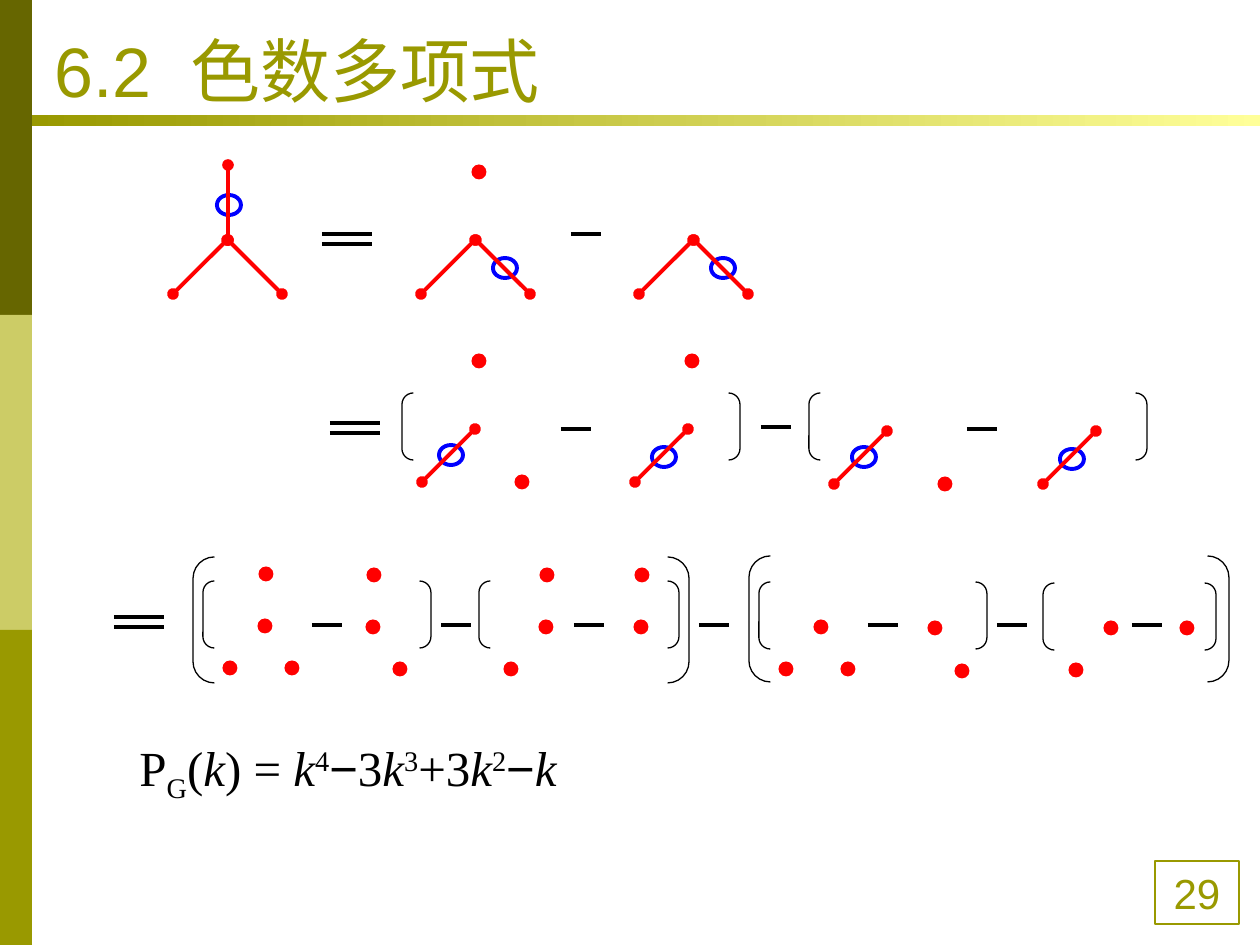
from lxml import etree
from pptx import Presentation
from pptx import util as u
from pptx.dml.color import RGBColor
from pptx.enum import shapes, text
from pptx.oxml.ns import qn

EMU_PER_PX = 914400 / 126
OLIVE, RED, BLUE, BLACK, WHITE = "999900", "FF0000", "0000FF", "000000", "FFFFFF"
SANS, SERIF = "Arial", "Times New Roman"

# Graph elements: centres of circled edges, fork tops and slanted edge tops
CIRCLED = [(505, 268), (723, 268), (451, 455), (664, 457), (864, 457),
           (1072, 459), (229, 205)]
FORK_TOPS = [227, 693, 475]
SLANT_TOPS = [(475, 429), (688, 429), (887, 431), (1096, 431)]
VERTICES = [
    (479, 172),
    (479, 361), (522, 482), (692, 361), (945, 484),
    (266, 574), (292, 668), (230, 668), (265, 626),
    (374, 575), (400, 669), (373, 627),
    (547, 575), (511, 669), (546, 627), (642, 575), (641, 627),
    (848, 669), (786, 669), (821, 627), (962, 671), (935, 628),
    (1076, 670), (1111, 628), (1187, 628),
]

# Operators: left ends of the signs, and boxes of the bracket pairs
MINUSES = [(571, 234), (561, 429), (967, 429), (761, 427)] + [
    (x, 625) for x in (312, 441, 574, 699, 868, 997, 1132)]
EQUALS = [(322, 234), (330, 423), (114, 617)]
BRACKETS = [
    (402, 393, 338, 67), (809, 393, 338, 67),
    (203, 581, 228, 67), (479, 581, 200, 67),
    (759, 582, 228, 67), (1043, 583, 173, 67),
    (193, 557, 496, 126), (749, 556, 480, 126),
]

# Formula runs: text, style, baseline shift in percent
FORMULA = [
    ("P", "", 0), ("G", "", -25), ("(", "", 0), ("k", "i", 0), (") = ", "", 0),
    ("k", "i", 0), ("4", "", 30), ("−", "sans", 0), ("3", "", 0),
    ("k", "i", 0), ("3", "", 30), ("+3", "", 0), ("k", "i", 0),
    ("2", "", 30), ("−", "sans", 0), ("k", "i", 0),
]


def px(value):
    return u.Emu(round(value * EMU_PER_PX))


def color(hex_string):
    return RGBColor.from_string(hex_string)


def add_shape(slide, kind, box, fill=None, line=None, line_width=0.75):
    shape = slide.shapes.add_shape(kind, *map(px, box))
    shape.shadow.inherit = False
    if fill:
        shape.fill.solid()
        shape.fill.fore_color.rgb = color(fill)
    else:
        shape.fill.background()
    if line:
        shape.line.color.rgb = color(line)
        shape.line.width = u.Pt(line_width)
    else:
        shape.line.fill.background()
    return shape


def add_ellipse(slide, center, width, height, **style):
    x, y = center
    box = (x - width / 2, y - height / 2, width, height)
    add_shape(slide, shapes.MSO_SHAPE.OVAL, box, **style)


def add_line(slide, start, end, line_color=BLACK):
    line = slide.shapes.add_connector(
        shapes.MSO_CONNECTOR.STRAIGHT, *map(px, (*start, *end)))
    line.line.color.rgb = color(line_color)
    line.line.width = u.Pt(2.25)
    etree.SubElement(line._element.spPr, qn("a:effectLst"))
    return line


def add_edge(slide, start, end):
    """Red graph edge with a round vertex at each end."""
    outline = add_line(slide, start, end, RED).line._get_or_add_ln()
    for tag in ("a:headEnd", "a:tailEnd"):
        etree.SubElement(outline, qn(tag), type="oval")


def add_fork(slide, x):
    add_edge(slide, (x, 240), (x - 54, 294))
    add_edge(slide, (x + 1, 240), (x + 55, 294))


def add_text_box(slide, box, anchor):
    frame = slide.shapes.add_textbox(*map(px, box)).text_frame
    frame.word_wrap = True
    frame.vertical_anchor = anchor
    return frame.paragraphs[0]


def add_run(paragraph, content, size, font, text_color, italic=False):
    run = paragraph.add_run()
    run.text = content
    run.font.size = u.Pt(size)
    run.font.name = font
    run.font.italic = italic
    run.font.color.rgb = color(text_color)
    return run._r.get_or_add_rPr()


def add_frame(slide):
    """Side bar, title rule, title and page number."""
    rectangle = shapes.MSO_SHAPE.RECTANGLE
    for row, fill in enumerate(("666600", "CCCC66", OLIVE)):
        add_shape(slide, rectangle, (0, 315 * row, 32, 315), fill=fill)

    rule = add_shape(slide, rectangle, (32, 115, 1228, 11))
    rule.fill.gradient()
    rule.fill.gradient_angle = 0
    for stop, stop_color in zip(rule.fill.gradient_stops, (OLIVE, "FFFF99")):
        stop.color.rgb = color(stop_color)

    title = add_text_box(slide, (42, 10, 1134, 108), text.MSO_ANCHOR.BOTTOM)
    add_run(title, "6.2", 40, SANS, OLIVE)
    add_run(title, " ", 40, SANS, OLIVE).set("spc", "1100")  # wide gap
    add_run(title, "色数多项式", 40, SANS, OLIVE)

    page = add_shape(slide, rectangle, (1155, 861, 84, 63), line=OLIVE)
    page.text_frame.vertical_anchor = text.MSO_ANCHOR.MIDDLE
    number = page.text_frame.paragraphs[0]
    number.alignment = text.PP_ALIGN.CENTER
    add_run(number, "29", 24, SANS, OLIVE)


def add_graphs(slide):
    for center in CIRCLED:
        add_ellipse(slide, center, 24, 20, fill=WHITE, line=BLUE, line_width=2.25)
    add_edge(slide, (228, 165), (228, 240))
    for x in FORK_TOPS:
        add_fork(slide, x)
    for x, y in SLANT_TOPS:
        add_edge(slide, (x, y), (x - 53, y + 53))
    for center in VERTICES:
        add_ellipse(slide, center, 15, 15, fill=RED)


def add_operators(slide):
    for x, y in MINUSES:
        add_line(slide, (x, y), (x + 30, y))
    for x, y in EQUALS:
        for bar in (y, y + 10):
            add_line(slide, (x, bar), (x + 50, bar))
    for box in BRACKETS:
        pair = add_shape(slide, shapes.MSO_SHAPE.DOUBLE_BRACKET, box, line=BLACK)
        pair.adjustments[0] = 0.17


def add_formula(slide):
    paragraph = add_text_box(slide, (43, 711, 1170, 110), text.MSO_ANCHOR.TOP)
    paragraph.line_spacing = 1.3
    paragraph._p.get_or_add_pPr().set("marL", str(px(84)))
    for content, style, shift in FORMULA:
        font = SANS if style == "sans" else SERIF
        properties = add_run(paragraph, content, 28, font, BLACK, style == "i")
        if shift:
            properties.set("baseline", str(shift * 1000))


def main():
    presentation = Presentation()
    presentation.slide_width, presentation.slide_height = px(1260), px(945)
    slide = presentation.slides.add_slide(presentation.slide_layouts[6])
    add_frame(slide)
    add_graphs(slide)
    add_operators(slide)
    add_formula(slide)
    presentation.save("out.pptx")


if __name__ == "__main__":
    main()
